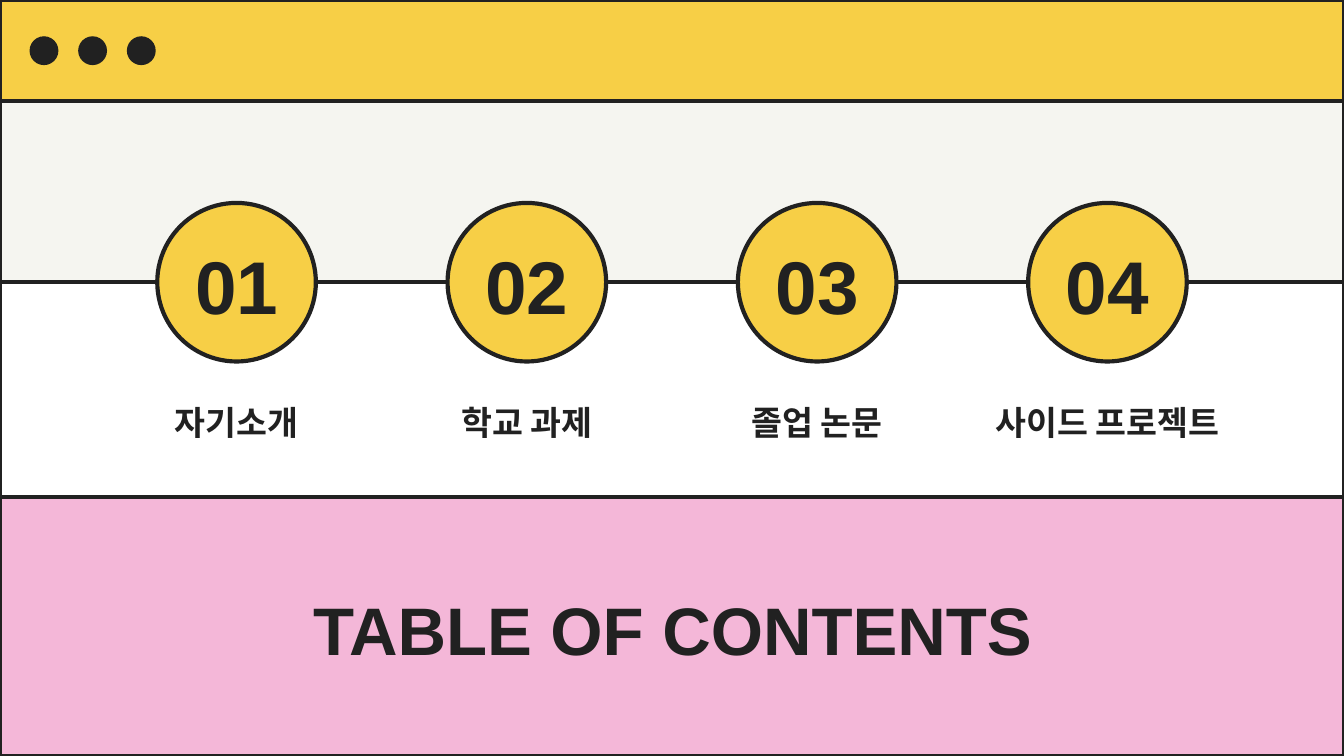
from dataclasses import dataclass

from pptx import Presentation
from pptx.dml.color import RGBColor
from pptx.enum.shapes import MSO_SHAPE
from pptx.enum.text import MSO_ANCHOR, PP_ALIGN
from pptx.slide import Slide
from pptx.util import Inches, Pt

RECTANGLE = MSO_SHAPE.RECTANGLE
OVAL = MSO_SHAPE.OVAL
CENTER = PP_ALIGN.CENTER
TOP = MSO_ANCHOR.TOP
BOTTOM = MSO_ANCHOR.BOTTOM

COLUMNS, ROWS = 100, 56.25
CELL = Inches(0.1)


@dataclass(frozen=True)
class Theme:
    ink: str = "212121"
    yellow: str = "F7CF46"
    ivory: str = "F5F5F0"
    pink: str = "F4B7D8"
    heading_font: str = "Arial"
    label_font: str = "League Spartan"
    title_size: float = 36
    number_size: float = 40
    label_size: float = 18
    line_width: float = 2.25


@dataclass(frozen=True)
class Area:
    column: float
    row: float
    width: float
    height: float

    def lengths(self) -> list[int]:
        return [round(cells * CELL) for cells in (self.column, self.row, self.width, self.height)]


@dataclass(frozen=True)
class Band:
    area: Area
    fill: str | None


THEME = Theme()
BANDS = (
    Band(Area(0, 0, COLUMNS, ROWS), None),
    Band(Area(0, 0, COLUMNS, 7.5), THEME.yellow),
    Band(Area(0, 7.5, COLUMNS, 13.5), THEME.ivory),
    Band(Area(0, 37, COLUMNS, ROWS - 37), THEME.pink),
)
SECTIONS = ("자기소개", "학교 과제", "졸업 논문", "사이드 프로젝트")
SECTION_PITCH = 21.6
FIRST_CENTER = (COLUMNS - SECTION_PITCH * (len(SECTIONS) - 1)) / 2
CIRCLE, LABEL_WIDTH = 11.8, 23.8
DOT, DOT_PITCH, DOT_COUNT = 2.15, 3.62, 3


def add_figure(page: Slide, kind: MSO_SHAPE, area: Area, *,
               fill: str | None = None, line: str | None = None) -> None:
    shape = page.shapes.add_shape(kind, *area.lengths())
    shape.shadow.inherit = False
    if fill:
        shape.fill.solid()
        shape.fill.fore_color.rgb = RGBColor.from_string(fill)
    else:
        shape.fill.background()
    if line:
        shape.line.color.rgb = RGBColor.from_string(line)
        shape.line.width = Pt(THEME.line_width)
    else:
        shape.line.fill.background()


def add_text(page: Slide, area: Area, text: str, *, size: float, font: str,
             anchor: MSO_ANCHOR = TOP, space_after: float = 0) -> None:
    box = page.shapes.add_textbox(*area.lengths())
    frame = box.text_frame
    frame.word_wrap = True
    frame.vertical_anchor = anchor
    frame.margin_left = frame.margin_right = CELL
    frame.margin_top = frame.margin_bottom = CELL
    para = frame.paragraphs[0]
    para.alignment = CENTER
    para.space_after = Pt(space_after)
    span = para.add_run()
    span.text = text
    span.font.name = font
    span.font.size = Pt(size)
    span.font.bold = True
    span.font.color.rgb = RGBColor.from_string(THEME.ink)


def add_section(page: Slide, index: int, label: str) -> None:
    center = FIRST_CENTER + index * SECTION_PITCH
    left = center - CIRCLE / 2
    add_figure(page, OVAL, Area(left, 15.1, CIRCLE, CIRCLE), fill=THEME.yellow, line=THEME.ink)
    add_text(page, Area(left, 16.4, CIRCLE, 9.1), f"{index + 1:02}",
             size=THEME.number_size, font=THEME.heading_font, anchor=BOTTOM)
    add_text(page, Area(center - LABEL_WIDTH / 2, 28.9, LABEL_WIDTH, 5.5), label,
             size=THEME.label_size, font=THEME.label_font, space_after=16)


def main() -> None:
    deck = Presentation()
    deck.slide_width = round(COLUMNS * CELL)
    deck.slide_height = round(ROWS * CELL)
    page = deck.slides.add_slide(deck.slide_layouts[6])
    for band in BANDS:
        add_figure(page, RECTANGLE, band.area, fill=band.fill, line=THEME.ink)
    for index in range(DOT_COUNT):
        add_figure(page, OVAL, Area(2.2 + index * DOT_PITCH, 2.7, DOT, DOT), fill=THEME.ink)
    for index, label in enumerate(SECTIONS):
        add_section(page, index, label)
    add_text(page, Area(20.4, 42.8, 59.3, 9.1), "TABLE OF CONTENTS",
             size=THEME.title_size, font=THEME.heading_font)
    deck.save("out.pptx")


if __name__ == "__main__":
    main()
